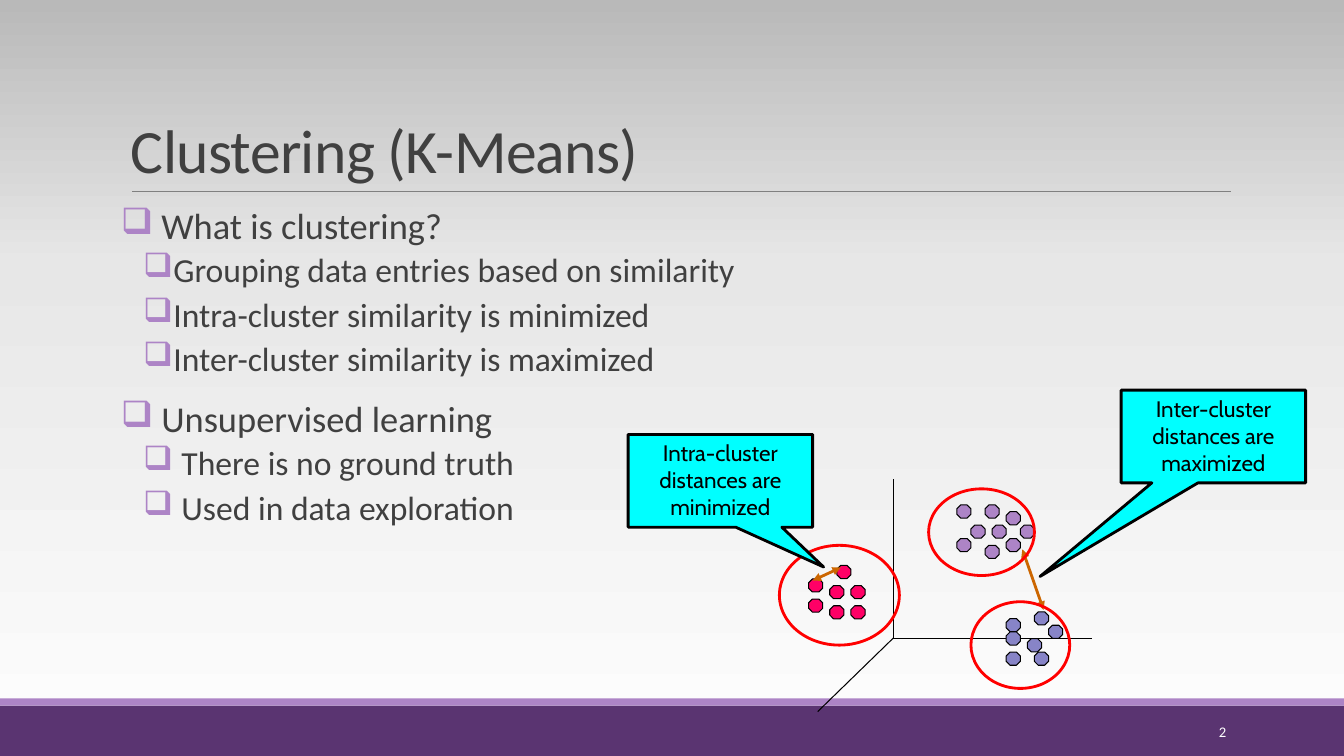
from lxml import etree
from pptx import Presentation
from pptx.dml.color import RGBColor
from pptx.enum.shapes import MSO_CONNECTOR, MSO_SHAPE
from pptx.enum.text import MSO_ANCHOR, PP_ALIGN
from pptx.oxml.ns import qn
from pptx.util import Inches, Pt

RECT, OVAL, OCTAGON = MSO_SHAPE.RECTANGLE, MSO_SHAPE.OVAL, MSO_SHAPE.OCTAGON
CALLOUT = MSO_SHAPE.RECTANGULAR_CALLOUT
STRAIGHT = MSO_CONNECTOR.STRAIGHT
LEFT, CENTER, RIGHT = PP_ALIGN.LEFT, PP_ALIGN.CENTER, PP_ALIGN.RIGHT
TOP, MIDDLE, BOTTOM = MSO_ANCHOR.TOP, MSO_ANCHOR.MIDDLE, MSO_ANCHOR.BOTTOM

PURPLE = RGBColor(0x5A, 0x34, 0x71)
LILAC = RGBColor(0xAD, 0x84, 0xC6)
PINK = RGBColor(0xFF, 0x00, 0x66)
PERIWINKLE = RGBColor(0x87, 0x84, 0xC7)
CYAN = RGBColor(0x00, 0xFF, 0xFF)
RED = RGBColor(0xFF, 0x00, 0x00)
ORANGE = RGBColor(0xCC, 0x66, 0x00)
GRAY = RGBColor(0x80, 0x80, 0x80)
DARK = RGBColor(0x40, 0x40, 0x40)
BLACK = RGBColor(0x00, 0x00, 0x00)
WHITE = RGBColor(0xFF, 0xFF, 0xFF)
BACKDROP = [(0, "FEFEFE"), (65, "E7E7E7"), (100, "B9B9B9")]

DOT_W, DOT_H = 0.14, 0.13
STEP_X, STEP_Y = 0.07, 0.2 / 3

# Indents: text edge and bullet offset in inches
TOPIC = dict(size=26, margin=0.4, hang=0.4, before=12, after=2)
POINT = dict(size=24, margin=0.52, hang=0.3, before=2, after=4)
WIDE_POINT = dict(POINT, margin=0.6, hang=0.38)
BULLETS = [
    ("What is clustering?", TOPIC),
    ("Grouping data entries based on similarity", POINT),
    ("Intra-cluster similarity is minimized", POINT),
    ("Inter-cluster similarity is maximized", POINT),
    ("Unsupervised learning", TOPIC),
    ("There is no ground truth", WIDE_POINT),
    ("Used in data exploration", WIDE_POINT),
]

# Colour, first corner, ring box, and (column, row) of each dot
CLUSTERS = [
    (LILAC, (3.26, 1.14), (2.98, 0.98, 1.05, 0.86),
     [(2, 3), (5, 3), (4, 0), (4, 6), (9, 3), (7, 1), (0, 0), (7, 5), (0, 5)]),
    (PINK, (1.79, 1.74), (1.5, 1.54, 1.19, 0.99),
     [(0, 2), (3, 3), (3, 6), (6, 3), (4, 0), (6, 6), (0, 5)]),
    (PERIWINKLE, (3.75, 2.2), (3.4, 2.1, 0.98, 0.86),
     [(0, 1), (6, 2), (3, 4), (0, 6), (4, 6), (0, 3), (4, 0)]),
]


def add_shape(s, kind, box, fill=None, line=None, width=0.75):
    sp = s.shapes.add_shape(kind, *map(Inches, box))
    sp.shadow.inherit = False
    if fill is None:
        sp.fill.background()
    else:
        sp.fill.solid()
        sp.fill.fore_color.rgb = fill
    if line is None:
        sp.line.fill.background()
    else:
        sp.line.color.rgb = line
        sp.line.width = Pt(width)
    return sp


def add_line(s, start, end, color=BLACK, width=0.75, arrows=False):
    cxn = s.shapes.add_connector(STRAIGHT, *map(Inches, (*start, *end)))
    cxn.line.color.rgb = color
    cxn.line.width = Pt(width)
    if arrows:
        ln = cxn.line._get_or_add_ln()
        for tag in ("a:headEnd", "a:tailEnd"):
            etree.SubElement(ln, qn(tag), type="triangle")
    etree.SubElement(cxn._element.spPr, qn("a:effectLst"))


def add_textbox(s, box, anchor=TOP, inset=0.1):
    tf = s.shapes.add_textbox(*map(Inches, box)).text_frame
    tf.word_wrap = True
    tf.vertical_anchor = anchor
    tf.margin_left = tf.margin_right = Inches(inset)
    return tf


def write(p, text, size, color=DARK, font="Calibri", align=LEFT, spacing=1.0, tracking=0):
    p.alignment = align
    p.line_spacing = spacing
    r = p.add_run()
    r.text = text
    r.font.size = Pt(size)
    r.font.name = font
    r.font.color.rgb = color
    if tracking:
        r._r.get_or_add_rPr().set("spc", str(int(tracking * 100)))


def set_bullet(p, margin, hang):
    pPr = p._p.get_or_add_pPr()
    pPr.set("marL", str(Inches(margin)))
    pPr.set("indent", str(-Inches(hang)))
    color = etree.SubElement(pPr, qn("a:buClr"))
    etree.SubElement(color, qn("a:srgbClr"), val=str(LILAC))
    etree.SubElement(pPr, qn("a:buChar"), char="❑")


def paint_background(s):
    fill = s.background.fill
    fill.gradient()
    fill.gradient_angle = 90
    stops = s._element.find(".//" + qn("a:gsLst"))
    for stop in list(stops):
        stops.remove(stop)
    for percent, color in BACKDROP:
        stop = etree.SubElement(stops, qn("a:gs"), pos=str(percent * 1000))
        etree.SubElement(stop, qn("a:srgbClr"), val=color)


def add_footer(s, x, y, w, h):
    band = 0.07
    add_shape(s, RECT, (x, y + band, w, h - band), PURPLE)
    add_shape(s, RECT, (x, y, w, band), LILAC)
    tf = add_textbox(s, (x + 10.83, y + 0.13, 1.43, 0.4), MIDDLE)
    write(tf.paragraphs[0], "2", 10.5, WHITE, align=RIGHT)


def add_title(s, x, y, w, h):
    add_line(s, (x + 0.11, y + h), (x + w + 0.01, y + h), GRAY, 0.5)
    tf = add_textbox(s, (x, y, w, h), BOTTOM)
    write(tf.paragraphs[0], "Clustering (K-Means)", 44, spacing=0.85, tracking=-0.5)


def add_bullets(s, x, y, w, h):
    tf = add_textbox(s, (x, y, w, h), inset=0)
    for i, (text, style) in enumerate(BULLETS):
        p = tf.add_paragraph() if i else tf.paragraphs[0]
        if i:
            p.space_before = Pt(style["before"])
        p.space_after = Pt(style["after"])
        p.line_spacing = 0.9
        set_bullet(p, style["margin"], style["hang"])
        write(p, text, style["size"], spacing=0.9)


def add_callout(s, x, y, text, tip):
    sp = add_shape(s, CALLOUT, (x, y, 1.83, 0.92), CYAN, BLACK, 2)
    sp.adjustments[0], sp.adjustments[1] = tip
    tf = sp.text_frame
    tf.word_wrap = True
    tf.vertical_anchor = TOP
    write(tf.paragraphs[0], text, 16, BLACK, "Cabin", CENTER)


def add_cluster_plot(s, x, y):
    def at(dx, dy):
        return x + dx, y + dy

    origin = at(2.63, 2.46)
    for end in [(2.63, 0.88), (4.6, 2.46), (1.88, 3.19)]:
        add_line(s, origin, at(*end))

    for color, (left, top), _, dots in CLUSTERS:
        for col, row in dots:
            corner = at(left + col * STEP_X, top + row * STEP_Y)
            add_shape(s, OCTAGON, (*corner, DOT_W, DOT_H), color, BLACK)

    add_line(s, at(4.12, 2.18), at(3.91, 1.58), ORANGE, 2, arrows=True)
    add_callout(s, *at(4.89, 0), "Inter-cluster distances are maximized", (-0.94, 1.51))
    for _, _, (left, top, w, h), _ in CLUSTERS:
        add_shape(s, OVAL, (*at(left, top), w, h), line=RED, width=2)
    add_line(s, at(1.83, 1.89), at(2.11, 1.76), ORANGE, 2, arrows=True)
    add_callout(s, *at(0, 0.44), "Intra-cluster distances are minimized", (0.56, 0.93))


def main():
    prs = Presentation()
    prs.slide_width, prs.slide_height = Inches(13.33), Inches(7.5)
    s = prs.slides.add_slide(prs.slide_layouts[6])
    paint_background(s)
    add_footer(s, 0, 6.93, 13.33, 0.57)
    add_title(s, 1.2, 0.31, 11, 1.59)
    add_bullets(s, 1.2, 2.02, 11, 4.4)
    add_cluster_plot(s, 6.23, 3.87)
    prs.save("out.pptx")


if __name__ == "__main__":
    main()
